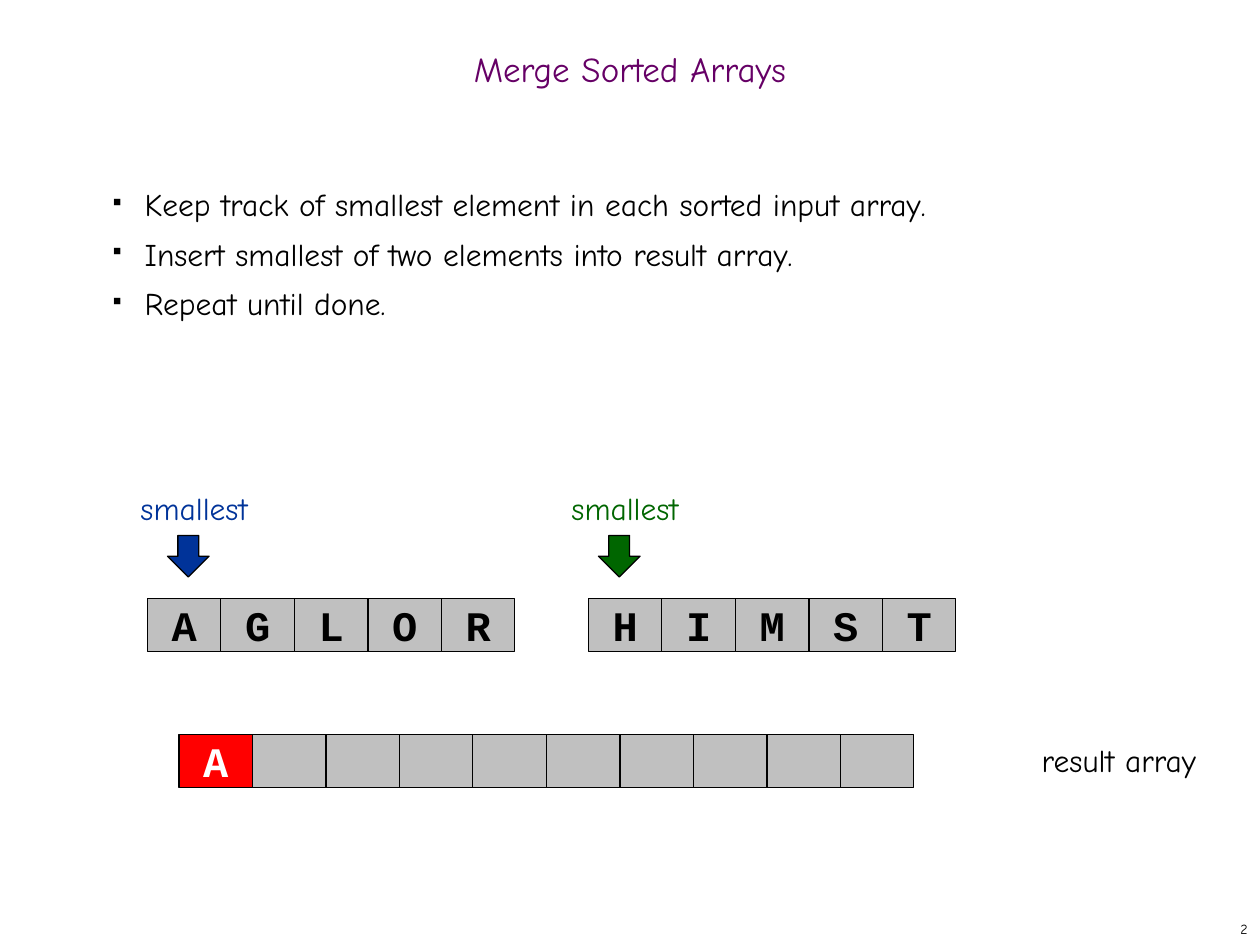
from lxml import etree
from pptx import Presentation
from pptx.dml.color import RGBColor
from pptx.enum.shapes import MSO_SHAPE
from pptx.enum.text import MSO_ANCHOR, MSO_AUTO_SIZE, PP_ALIGN
from pptx.oxml.ns import qn
from pptx.util import Inches, Pt

RECT, DOWN_ARROW = MSO_SHAPE.RECTANGLE, MSO_SHAPE.DOWN_ARROW
LEFT, CENTER, RIGHT = PP_ALIGN.LEFT, PP_ALIGN.CENTER, PP_ALIGN.RIGHT
TOP, MIDDLE = MSO_ANCHOR.TOP, MSO_ANCHOR.MIDDLE
NO_AUTOFIT = MSO_AUTO_SIZE.NONE

# Content
TITLE = "Merge Sorted Arrays"
BULLETS = [
    "Keep track of smallest element in each sorted input array.",
    "Insert smallest of two elements into result array.",
    "Repeat until done.",
]
# letters, array left, label left, pointer colour
INPUTS = [("AGLOR", 1.17, 0.5, "blue"), ("HIMST", 4.67, 3.92, "green")]
RESULT = ["A"] + [""] * 9
PAGE = "2"

THEME = {
    "font": "Comic Neue", "mono": "Courier New",
    "title": 20, "body": 18, "cell": 24, "page": 8,
    "purple": "660066", "black": "000000", "white": "FFFFFF",
    "blue": "003399", "green": "006600", "grey": "C0C0C0", "red": "FF0000",
}
CELL_W, CELL_H = 7 / 12, 0.42
INPUT_Y, RESULT_Y, RESULT_X = 4.75, 5.83, 1.42
ARROW = 0.33


def color(name):
    return RGBColor.from_string(THEME[name])


def box(left, top, width, height):
    return [Inches(v) for v in (left, top, width, height)]


def add_bullet(p):
    pPr = p._p.get_or_add_pPr()
    pPr.set("marL", str(Inches(0.38)))
    pPr.set("indent", str(Inches(-0.25)))
    clr = etree.SubElement(pPr, qn("a:buClr"))
    etree.SubElement(clr, qn("a:srgbClr"), val=THEME["black"])
    etree.SubElement(pPr, qn("a:buSzPct"), val="35000")
    etree.SubElement(pPr, qn("a:buChar"), char="■")


def write(sp, *lines, size="body", font="font", ink="black", bold=False,
          align=CENTER, anchor=TOP, wrap=True, spacing=None, before=0,
          bullet=False):
    tf = sp.text_frame
    tf.auto_size = NO_AUTOFIT
    tf.word_wrap = wrap
    tf.vertical_anchor = anchor
    for i, line in enumerate(lines):
        p = tf.add_paragraph() if i else tf.paragraphs[0]
        p.alignment = align
        if bullet:
            add_bullet(p)
        if spacing:
            p.line_spacing = spacing
        p.space_before = Pt(before if i else 0)
        r = p.add_run()
        r.text = line
        r.font.name, r.font.size = THEME[font], Pt(THEME[size])
        r.font.bold = bold
        r.font.color.rgb = color(ink)


def add_filled(shapes, kind, place, fill):
    sp = shapes.add_shape(kind, *box(*place))
    sp.shadow.inherit = False
    sp.fill.solid()
    sp.fill.fore_color.rgb = color(fill)
    sp.line.color.rgb = color("black")
    sp.line.width = Pt(0.75)
    return sp


def add_array(shapes, letters, left, top, fills, ink="black"):
    group = shapes.add_group_shape()
    for i, (letter, fill) in enumerate(zip(letters, fills)):
        place = (left + i * CELL_W, top, CELL_W, CELL_H)
        cell = add_filled(group.shapes, RECT, place, fill)
        if letter:
            write(cell, letter, size="cell", font="mono", ink=ink, bold=True,
                  anchor=MIDDLE, wrap=False)


def main():
    prs = Presentation()
    prs.slide_width, prs.slide_height = Inches(10), Inches(7.5)
    s = prs.slides.add_slide(prs.slide_layouts[5])
    shapes = s.shapes

    # Title
    title = shapes.title
    title.left, title.top, title.width, title.height = box(0, 0.25, 10, 0.67)
    write(title, TITLE, size="title", ink="purple", anchor=MIDDLE, spacing=0.7)

    # Steps
    write(shapes.add_textbox(*box(0.67, 1.39, 8.58, 5.53)), *BULLETS,
          align=LEFT, spacing=1.1, before=4.5, bullet=True)

    # Input arrays with their pointers
    for letters, left, label_x, ink in INPUTS:
        write(shapes.add_textbox(*box(label_x, 3.83, 2.08, 0.4)), "smallest",
              ink=ink)
        add_filled(shapes, DOWN_ARROW, (label_x + 0.83, 4.25, ARROW, ARROW),
                   ink)
        add_array(shapes, letters, left, INPUT_Y, ["grey"] * len(letters))

    # Result array
    fills = ["red" if letter else "grey" for letter in RESULT]
    add_array(shapes, RESULT, RESULT_X, RESULT_Y, fills, ink="white")
    write(shapes.add_textbox(*box(7.92, RESULT_Y, 1.92, 0.4)), "result array")

    # Page number
    write(shapes.add_textbox(*box(7.92, 7.25, 2.08, 0.25)), PAGE, size="page",
          align=RIGHT, anchor=MIDDLE)

    prs.save("out.pptx")


if __name__ == "__main__":
    main()
